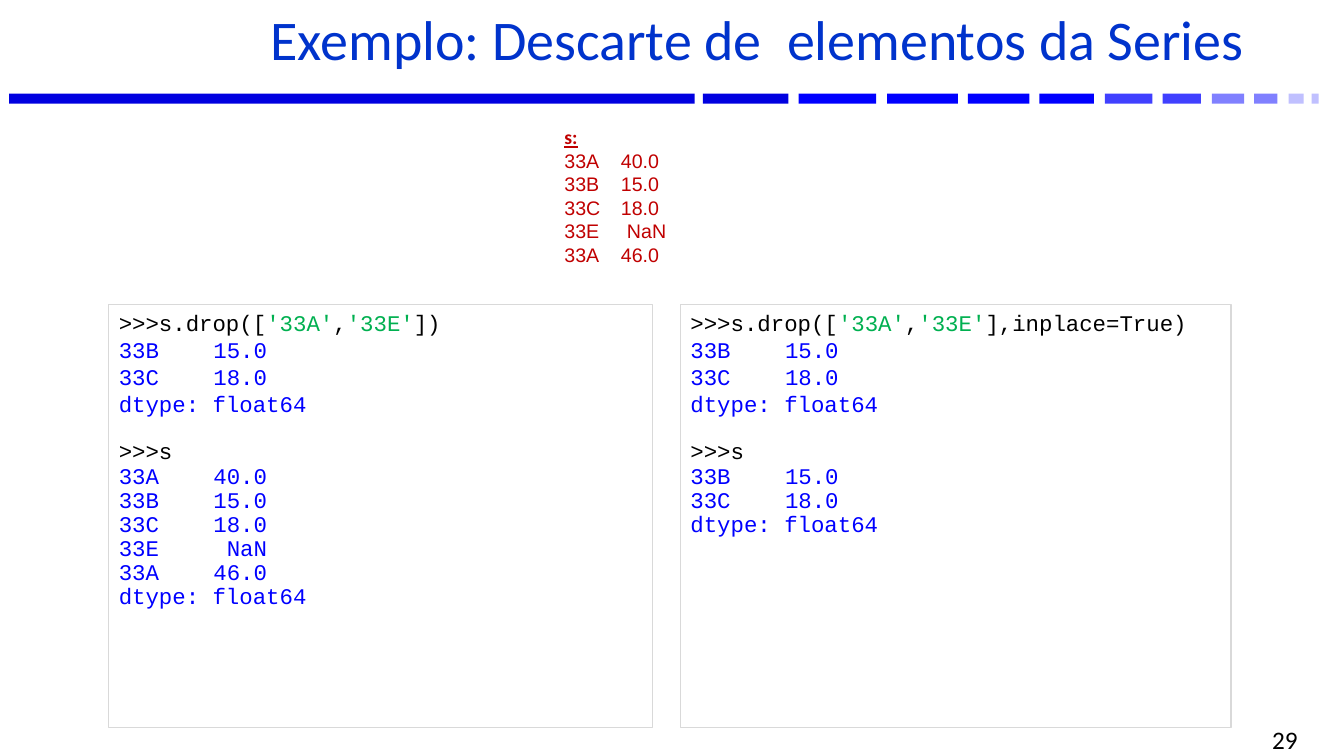
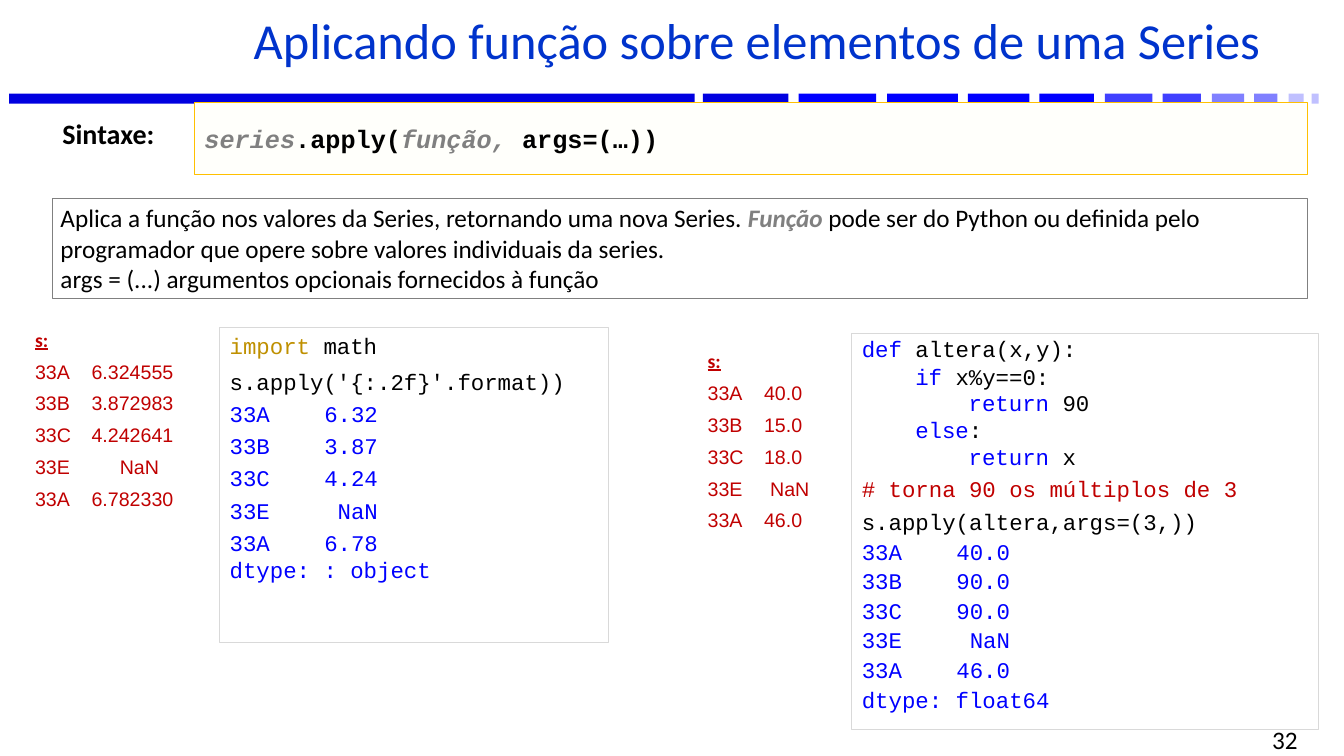
from lxml.etree import SubElement
from pptx import Presentation
from pptx.dml.color import RGBColor
from pptx.enum.shapes import MSO_SHAPE
from pptx.enum.text import MSO_ANCHOR, PP_ALIGN
from pptx.oxml.ns import qn
from pptx.util import Pt

PX = 9144
SLIDE_SIZE = (1333, 750)

BLACK = RGBColor(0x00, 0x00, 0x00)
GRAY = RGBColor(0x80, 0x80, 0x80)
SILVER = RGBColor(0xD9, 0xD9, 0xD9)
BLUE = RGBColor(0x00, 0x00, 0xFF)
TITLE_BLUE = RGBColor(0x00, 0x33, 0xCC)
NAVY = RGBColor(0x00, 0x00, 0xE0)
MID_BLUE = RGBColor(0x40, 0x40, 0xFF)
SOFT_BLUE = RGBColor(0x80, 0x80, 0xFF)
PALE_BLUE = RGBColor(0xC0, 0xC0, 0xFF)
GREEN = RGBColor(0x00, 0xB0, 0x50)
RED = RGBColor(0xC0, 0x00, 0x00)
GOLD = RGBColor(0xBF, 0x90, 0x00)
AMBER = RGBColor(0xFF, 0xC0, 0x00)
CREAM = RGBColor(0xFF, 0xFF, 0xFB)

TITLE_BOX = (194, 6, 1114, 77)
NUMBER_BOX = (986, 723, 311, 22)
BAND_TOP, BAND_HEIGHT = 93, 10
BAND = [
    (9, 680, NAVY), (697, 85, NAVY),
    (792, 77, BLUE), (880, 70, BLUE), (960, 61, BLUE), (1031, 54, BLUE),
    (1096, 47, MID_BLUE), (1153, 38, MID_BLUE),
    (1202, 32, SOFT_BLUE), (1244, 23, SOFT_BLUE),
    (1278, 15, PALE_BLUE), (1301, 7, PALE_BLUE),
]

CODE = {"name": "Courier New", "size": Pt(16)}
BODY = {"name": "Calibri", "size": Pt(18)}
LABEL = {"name": "Calibri", "size": Pt(20), "bold": True}
SYNTAX = {"name": "Courier New", "size": Pt(18), "bold": True}
SERIES_HEAD = {"name": "Calibri", "size": Pt(14), "bold": True, "underline": True}
SERIES_ROW = {"name": "Arial", "size": Pt(14), "color": RED}
EMPHASIS = {"color": GRAY, "bold": True, "italic": True}

CODE_TAB = (147, "r")
SERIES_TAB, NAN_TAB, WIDE_NAN_TAB = 56, 62, 84
INDENT = 53


def para(*runs, **fmt):
    return [run if isinstance(run, tuple) else (run, {}) for run in runs], fmt


def colored(text, color):
    return text, {"color": color}


def output(rows, dtype, spacing, dtype_spacing):
    lines = [para(colored(f"{key}\t{value}", BLUE), tab=CODE_TAB, line_spacing=spacing)
             for key, value in rows]
    return lines + [para(colored(f"dtype: {dtype}", BLUE), line_spacing=dtype_spacing)]


def series(rows, nan_tab, before):
    lines = [para(("s:", SERIES_HEAD), space_before=before)]
    for key, value in rows:
        stop = nan_tab if value == "NaN" else SERIES_TAB
        lines.append(para((f"{key}\t{value}", SERIES_ROW), tab=(stop, "l"),
                          space_before=before))
    return lines


def drop_call(ending):
    return [para(">>>s.drop([", colored("'33A'", GREEN), ",", colored("'33E'", GREEN),
                 ending, space_before=Pt(12))]


KEYS = ["33A", "33B", "33C", "33E", "33A"]
ORIGINAL = list(zip(KEYS, ["40.0", "15.0", "18.0", "NaN", "46.0"]))
ROOTS = list(zip(KEYS, ["6.324555", "3.872983", "4.242641", "NaN", "6.782330"]))
ROUNDED = list(zip(KEYS, ["6.32", "3.87", "4.24", "NaN", "6.78"]))
ALTERED = list(zip(KEYS, ["40.0", "90.0", "90.0", "NaN", "46.0"]))
KEPT = ORIGINAL[1:3]

SHOW_SERIES = [para(">>>s", line_spacing=0.9, space_before=Pt(17))]
DROPPED = output(KEPT, "float64", 1.0, 1.0) + SHOW_SERIES

FORMAT_CODE = [
    para(colored("import ", GOLD), "math", space_before=Pt(6)),
    para("s.apply('{:.2f}'.format))", space_before=Pt(6)),
]
ALTER_CODE = [
    para(colored("def ", BLUE), "altera(x,y):", line_spacing=0.9, space_before=Pt(6)),
    para(colored("if ", BLUE), "x%y==0:", indent=INDENT),
    para(colored("return", BLUE), " 90", indent=2 * INDENT),
    para(colored("else", BLUE), ":", indent=INDENT),
    para(colored("return", BLUE), " x", indent=2 * INDENT),
    para(colored("# torna 90 os múltiplos de 3", RED), line_spacing=0.9,
         space_before=Pt(6)),
    para("s.apply(altera,args=(3,))", line_spacing=0.9, space_before=Pt(6)),
]
SYNTAX_TEXT = [para(("series", EMPHASIS), ".apply(", ("função, ", EMPHASIS), "args=(…))")]
DESCRIPTION = [
    para("Aplica a função nos valores da Series, retornando uma nova Series. ",
         ("Função", EMPHASIS),
         " pode ser do Python ou definida pelo programador que opere sobre valores"
         " individuais da series."),
    para("args = (...) argumentos opcionais fornecidos à função"),
]

SLIDES = [
    {"title": "Exemplo: Descarte de  elementos da Series", "size": 40, "number": "29",
     "boxes": [
         {"at": (108, 302, 539, 420), "font": CODE, "line": SILVER,
          "text": drop_call("])") + DROPPED + output(ORIGINAL, "float64", 0.9, 0.9)},
         {"at": (550, 119, 124, 175), "font": SERIES_ROW,
          "text": series(ORIGINAL, NAN_TAB, Pt(0))},
         {"at": (675, 302, 546, 420), "font": CODE, "line": SILVER,
          "text": drop_call("],inplace=True)") + DROPPED
          + output(KEPT, "float64", 0.9, 0.9)},
     ]},
    {"title": "Aplicando função sobre elementos de uma Series", "size": 36, "number": "32",
     "boxes": [
         {"at": (218, 325, 386, 312), "font": CODE, "line": SILVER,
          "text": FORMAT_CODE + output(ROUNDED, ": object", 1.2, 1.0)},
         {"at": (845, 331, 463, 393), "font": CODE, "line": SILVER,
          "text": ALTER_CODE + output(ALTERED, "float64", 1.1, 1.1)},
         {"at": (193, 102, 1104, 71), "font": SYNTAX, "line": AMBER, "fill": CREAM,
          "text": SYNTAX_TEXT, "anchor": MSO_ANCHOR.MIDDLE, "insets": (10, 0)},
         {"at": (52, 111, 142, 44), "font": LABEL, "text": [para("Sintaxe:")]},
         {"at": (52, 197, 1245, 99), "font": BODY, "line": GRAY,
          "text": DESCRIPTION, "insets": (8, 4)},
         {"at": (692, 341, 124, 226), "font": SERIES_ROW,
          "text": series(ORIGINAL, NAN_TAB, Pt(6))},
         {"at": (25, 320, 170, 226), "font": SERIES_ROW,
          "text": series(ROOTS, WIDE_NAN_TAB, Pt(6))},
     ]},
]


def emu(lengths):
    return [length * PX for length in lengths]


def format_paragraph(p, fmt):
    settings = {"alignment": PP_ALIGN.LEFT, "line_spacing": 1.0, "space_before": Pt(0), **fmt}
    tab = settings.pop("tab", None)
    indent = settings.pop("indent", 0)
    for name, value in settings.items():
        setattr(p, name, value)
    pPr = p._p.get_or_add_pPr()
    if indent:
        pPr.set("marL", str(indent * PX))
    if tab:
        stop, align = tab
        tabs = SubElement(pPr, qn("a:tabLst"))
        SubElement(tabs, qn("a:tab"), pos=str(stop * PX), algn=align)


def write(tf, paragraphs, font):
    for i, (runs, fmt) in enumerate(paragraphs):
        p = tf.add_paragraph() if i else tf.paragraphs[0]
        format_paragraph(p, fmt)
        for text, style in runs:
            r = p.add_run()
            r.text = text
            settings = {"color": BLACK, **font, **style}
            r.font.color.rgb = settings.pop("color")
            for name, value in settings.items():
                setattr(r.font, name, value)


def add_rect(s, at, fill=None, line=None):
    sp = s.shapes.add_shape(MSO_SHAPE.RECTANGLE, *emu(at))
    sp.shadow.inherit = False
    if fill is None:
        sp.fill.background()
    else:
        sp.fill.solid()
        sp.fill.fore_color.rgb = fill
    if line is None:
        sp.line.fill.background()
    else:
        sp.line.color.rgb = line
        sp.line.width = Pt(0.75)
    return sp


def add_box(s, at, text, font, fill=None, line=None, anchor=MSO_ANCHOR.TOP, insets=(10, 5)):
    sp = add_rect(s, at, fill, line) if line else s.shapes.add_textbox(*emu(at))
    tf = sp.text_frame
    across, down = emu(insets)
    layout = {"word_wrap": True, "vertical_anchor": anchor,
              "margin_left": across, "margin_right": across,
              "margin_top": down, "margin_bottom": down}
    for name, value in layout.items():
        setattr(tf, name, value)
    write(tf, text, font)


def add_frame(s, title, size, number):
    for left, width, color in BAND:
        add_rect(s, (left, BAND_TOP, width, BAND_HEIGHT), fill=color)
    add_box(s, TITLE_BOX,
            [para(title, alignment=PP_ALIGN.CENTER, line_spacing=0.8, space_before=Pt(6))],
            {"name": "Calibri", "size": Pt(size), "color": TITLE_BLUE},
            anchor=MSO_ANCHOR.MIDDLE)
    add_box(s, NUMBER_BOX, [para(number, alignment=PP_ALIGN.RIGHT)], BODY,
            anchor=MSO_ANCHOR.MIDDLE)


def main():
    prs = Presentation()
    prs.slide_width, prs.slide_height = emu(SLIDE_SIZE)
    for content in SLIDES:
        s = prs.slides.add_slide(prs.slide_layouts[6])
        add_frame(s, content["title"], content["size"], content["number"])
        for box in content["boxes"]:
            add_box(s, **box)
    prs.save("out.pptx")


if __name__ == "__main__":
    main()
